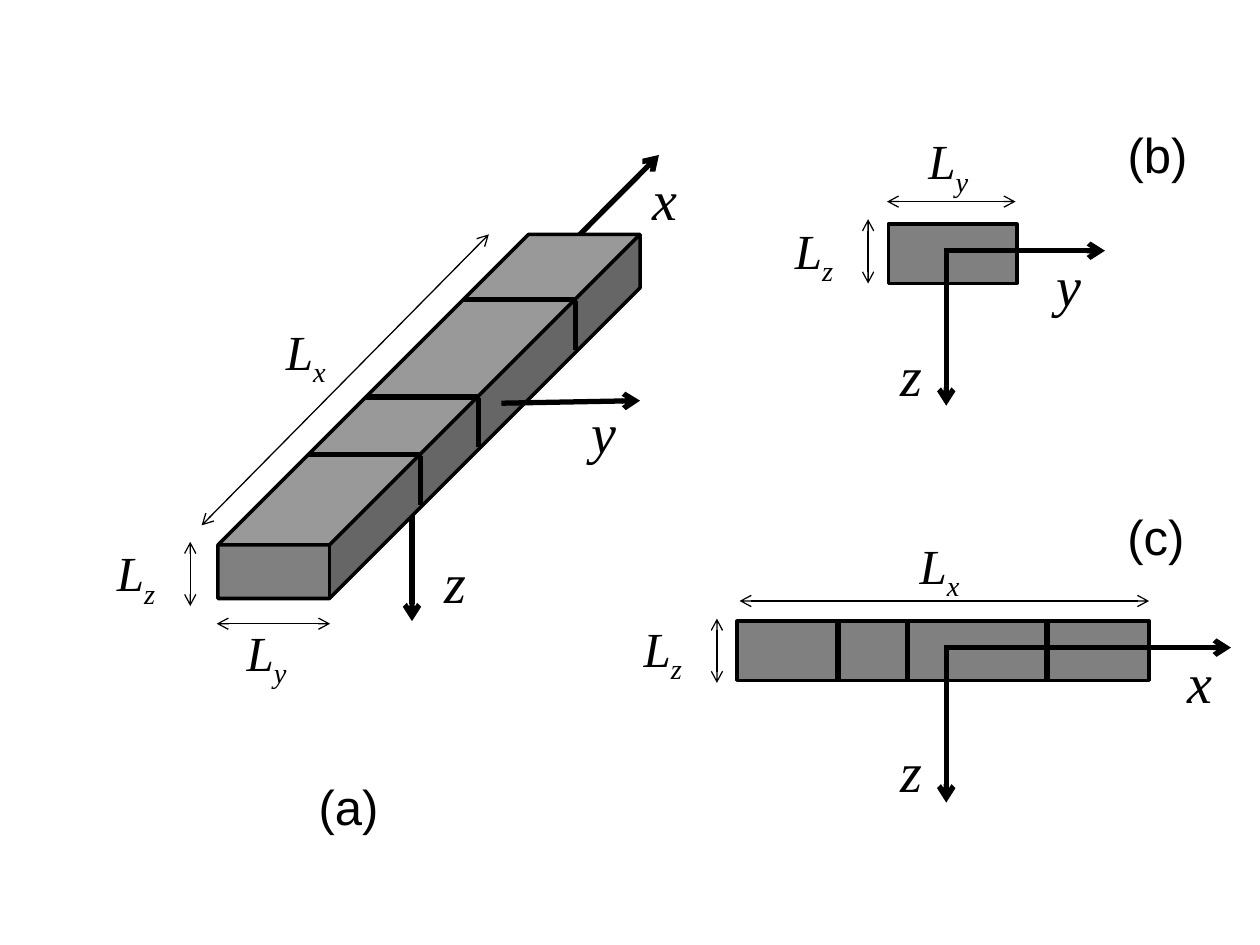
from lxml.etree import SubElement
from pptx import Presentation
from pptx.dml.color import RGBColor
from pptx.enum.shapes import MSO_CONNECTOR, MSO_SHAPE
from pptx.enum.text import MSO_AUTO_SIZE
from pptx.oxml.ns import qn
from pptx.util import Inches, Pt

COLORS = {"ink": "000000", "beam": "808080"}
SERIF, SANS = "Times New Roman", "Arial"

HIDDEN_AXES = [(3.27, 3.2, 5.23, 1.23), (3.27, 3.2, 3.27, 4.93)]
SECTION = (7.05, 1.78, 1.02, 0.47)
SIDE = (5.85, 4.93, 3.27, 0.47)
CUBE = (1.73, 1.86, 3.35, 2.89)
CUBE_DEPTH = 0.853
VISIBLE_AXES = [
    (7.52, 1.99, 8.77, 1.99), (7.51, 1.97, 7.51, 3.22),
    (7.52, 5.14, 9.77, 5.14), (7.51, 5.12, 7.51, 6.37),
    (3.98, 3.2, 5.08, 3.18),
]
DIMENSIONS = [
    (1.72, 4.95, 2.62, 4.95), (1.51, 4.81, 1.51, 4.3), (1.6, 4.17, 3.88, 1.86),
    (7.04, 1.6, 8.06, 1.6), (6.89, 2.25, 6.89, 1.74),
    (5.87, 4.77, 9.12, 4.77), (5.69, 5.42, 5.69, 4.91),
]
CUBE_CUTS = [3.61, 2.38, 3.15]
SIDE_CUTS = [6.65, 7.2, 8.31]

AXIS_LABELS = [
    ("x", 5.08, 1.26), ("y", 4.6, 3.11), ("z", 3.43, 4.3),
    ("y", 8.29, 1.94), ("z", 7.05, 2.65),
    ("x", 9.33, 5.09), ("z", 7.05, 5.8),
]
LENGTH_LABELS = [
    ("x", 2.17, 2.5), ("y", 1.86, 4.89), ("z", 0.83, 4.26),
    ("y", 7.27, 0.99), ("z", 6.21, 1.7),
    ("x", 7.2, 4.2), ("z", 5.01, 4.86),
]
PANELS = [("(a)", 2.43, 6.11, 0.68), ("(b)", 8.85, 0.94, 0.68), ("(c)", 8.85, 3.97, 0.66)]
AXIS_WIDTHS = {"x": 0.4, "y": 0.4, "z": 0.38}
LENGTH_WIDTHS = {"x": 0.54, "y": 0.53, "z": 0.52}


def color(name):
    return RGBColor.from_string(COLORS[name])


def add_line(page, ends, width=3, arrows=()):
    line = page.shapes.add_connector(MSO_CONNECTOR.STRAIGHT, *map(Inches, ends))
    line.line.width = Pt(width)
    line.line.color.rgb = color("ink")
    outline = line.line._get_or_add_ln()
    for end in arrows:
        SubElement(outline, qn(f"a:{end}"), type="arrow")
    SubElement(line._element.spPr, qn("a:effectLst"))


def add_solid(page, kind, frame):
    solid = page.shapes.add_shape(kind, *map(Inches, frame))
    solid.shadow.inherit = False
    solid.fill.solid()
    solid.fill.fore_color.rgb = color("beam")
    solid.line.color.rgb = color("ink")
    solid.line.width = Pt(2)
    return solid


def add_text(page, text, left, top, width, height=0.57, size=28, font=SERIF,
             italic=True, subscript=""):
    box = page.shapes.add_textbox(*map(Inches, (left, top, width, height)))
    box.text_frame.word_wrap = False
    box.text_frame.auto_size = MSO_AUTO_SIZE.SHAPE_TO_FIT_TEXT
    para = box.text_frame.paragraphs[0]
    for content, baseline in ((text, None), (subscript, "-25000")):
        if not content:
            continue
        span = para.add_run()
        span.text = content
        span.font.name = font
        span.font.size = Pt(size)
        span.font.italic = italic
        span.font.color.rgb = color("ink")
        if baseline:
            span.font._element.set("baseline", baseline)


def main():
    deck = Presentation()
    deck.slide_width, deck.slide_height = Inches(10), Inches(7.5)
    page = deck.slides.add_slide(deck.slide_layouts[6])

    for ends in HIDDEN_AXES:
        add_line(page, ends, arrows=["tailEnd"])
    for frame in (SECTION, SIDE):
        add_solid(page, MSO_SHAPE.RECTANGLE, frame)
    cube = add_solid(page, MSO_SHAPE.CUBE, CUBE)
    cube.adjustments[0] = CUBE_DEPTH

    left, top, width, height = CUBE
    depth = CUBE_DEPTH * height
    for cut in CUBE_CUTS:
        start = left + top + depth - cut
        end = start + width - depth
        add_line(page, (start, cut, end + 0.02, cut))
        add_line(page, (end + 0.01, cut + 0.01, end + 0.01, cut + 0.4))
    for cut in SIDE_CUTS:
        add_line(page, (cut, SIDE[1], cut, SIDE[1] + SIDE[3]))

    for ends in VISIBLE_AXES:
        add_line(page, ends, arrows=["tailEnd"])
    for ends in DIMENSIONS:
        add_line(page, ends, width=0.75, arrows=["headEnd", "tailEnd"])

    for axis, x, y in AXIS_LABELS:
        add_text(page, axis, x, y, AXIS_WIDTHS[axis], height=0.64, size=32)
    for axis, x, y in LENGTH_LABELS:
        add_text(page, "L", x, y, LENGTH_WIDTHS[axis], subscript=axis)
    for name, x, y, width in PANELS:
        add_text(page, name, x, y, width, font=SANS, italic=False)

    deck.save("out.pptx")


if __name__ == "__main__":
    main()
